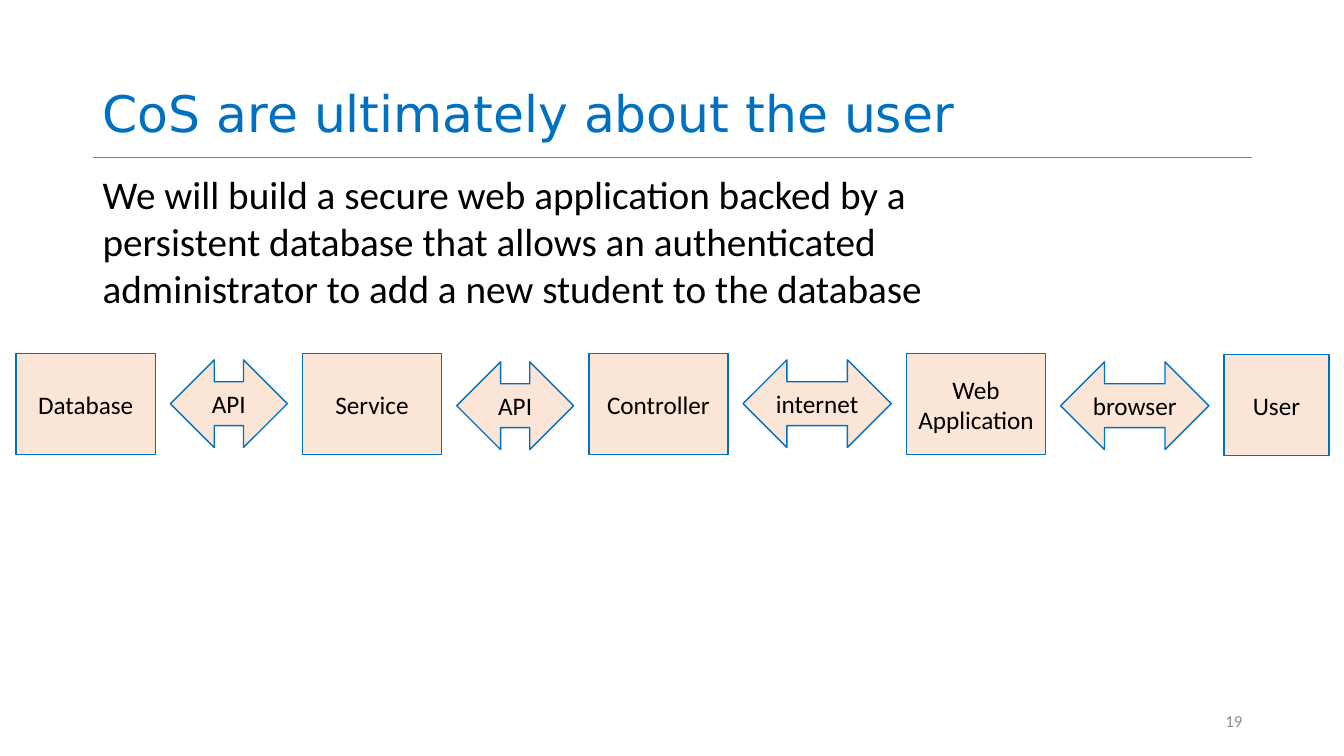
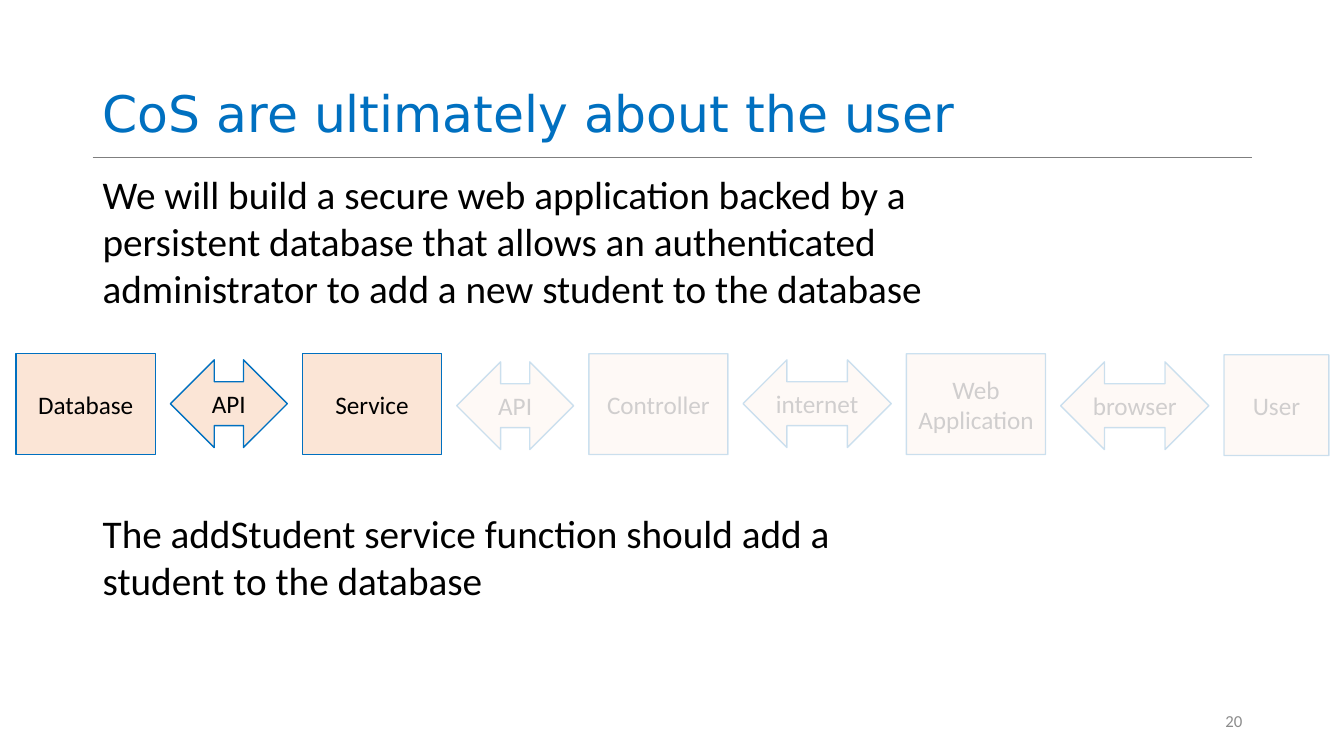
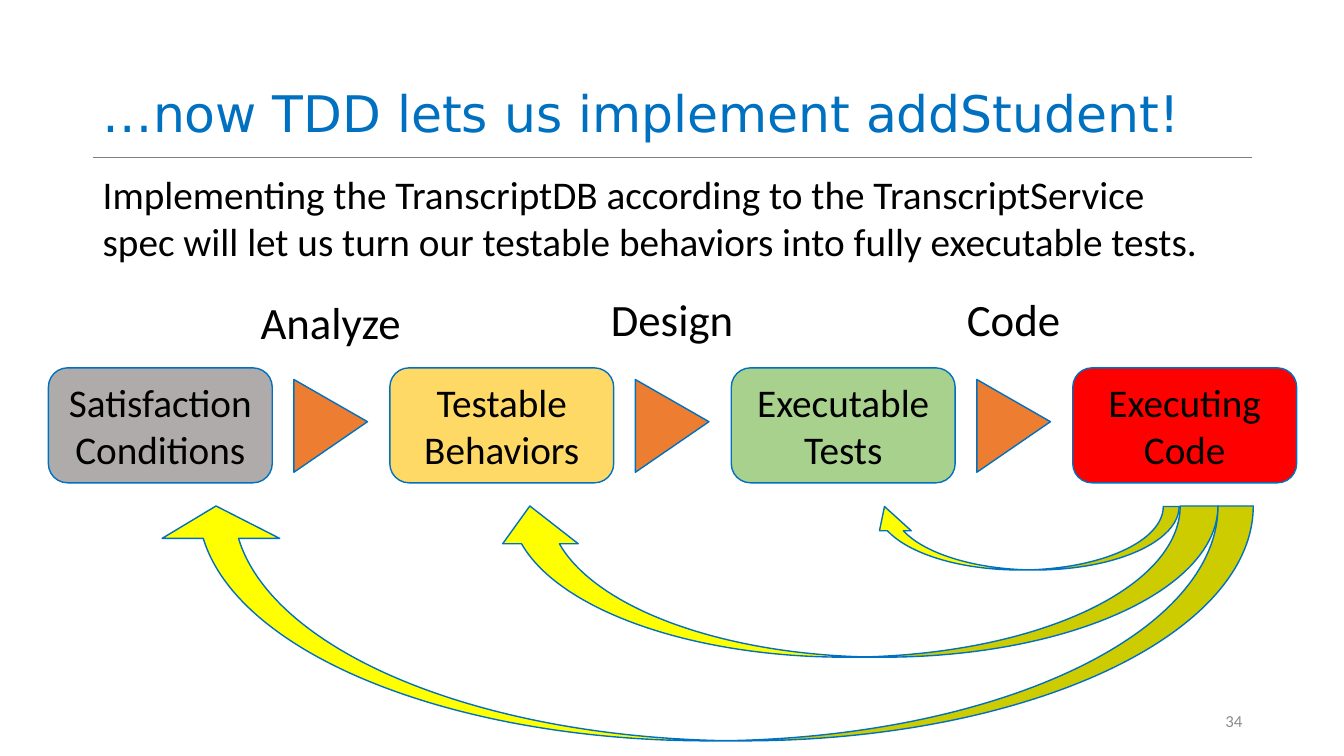
"""Build three slides on conditions of satisfaction and test-driven development."""
from lxml.etree import SubElement
from pptx import Presentation
from pptx.dml.color import RGBColor
from pptx.enum.shapes import MSO_CONNECTOR, MSO_SHAPE as SHAPE
from pptx.enum.text import MSO_ANCHOR as ANCHOR, PP_ALIGN as ALIGN
from pptx.oxml.ns import qn
from pptx.util import Inches, Pt

COLORS = {
    "blue": "0070C0", "rule": "7F7F7F", "black": "000000", "number": "8C8C8C",
    "peach": "FBE5D6", "faded": "D0CECE", "gray": "AFABAB", "gold": "FFD966",
    "green": "A9D18E", "red": "FF0000", "orange": "ED7D31", "yellow": "FFFF00",
}


def rgb(name):
    return RGBColor.from_string(COLORS[name])


def write(sp, text, size=28, color="black", font="Calibri", align=ALIGN.LEFT,
          anchor=ANCHOR.TOP, spacing=1.0, inset=0.1):
    tf = sp.text_frame
    tf.word_wrap = True
    tf.vertical_anchor = anchor
    tf.margin_left = tf.margin_right = Inches(inset)
    p = tf.paragraphs[0]
    p.alignment = align
    p.line_spacing = spacing
    r = p.add_run()
    r.text = text
    r.font.size = Pt(size)
    r.font.name = font
    r.font.color.rgb = rgb(color)


def paint(sp, fill, alpha=None):
    sp.shadow.inherit = False
    sp.fill.solid()
    sp.fill.fore_color.rgb = rgb(fill)
    sp.line.color.rgb = rgb("blue")
    sp.line.width = Pt(1)
    if alpha:
        for clr in sp._element.spPr.iter(qn("a:srgbClr")):
            SubElement(clr, qn("a:alpha")).set("val", str(alpha * 1000))


prs = Presentation()
prs.slide_width, prs.slide_height = Inches(13.33), Inches(7.5)

USER_TITLE = "CoS are ultimately about the user"
USER_STORY = ("We will build a secure web application backed by a persistent database "
              "that allows an authenticated administrator to add a new student to the database")
TDD_STORY = ("Implementing the TranscriptDB according to the TranscriptService spec "
             "will let us turn our testable behaviors into fully executable tests.")
pages = [
    (USER_TITLE, USER_STORY, 8.62, "19"),
    (USER_TITLE, USER_STORY, 8.62, "20"),
    ("…now TDD lets us implement addStudent!", TDD_STORY, 11.29, "34"),
]
slides = []
for title, story, width, number in pages:
    s = prs.slides.add_slide(prs.slide_layouts[6])
    slides.append(s)
    rule = s.shapes.add_connector(MSO_CONNECTOR.STRAIGHT, Inches(0.92), Inches(1.56),
                                  Inches(12.42), Inches(1.56))
    rule.line.color.rgb = rgb("rule")
    rule.line.width = Pt(0.5)
    SubElement(rule._element.spPr, qn("a:effectLst"))
    sp = s.shapes.add_textbox(Inches(0.92), Inches(0.02), Inches(11.5), Inches(1.45))
    write(sp, title, size=36, color="blue", font="DejaVu Sans", anchor=ANCHOR.BOTTOM,
          spacing=0.9)
    sp = s.shapes.add_textbox(Inches(0.92), Inches(1.64), Inches(width), Inches(1.6))
    write(sp, story)
    sp = s.shapes.add_textbox(Inches(9.42), Inches(6.95), Inches(3), Inches(0.4))
    write(sp, number, size=12, color="number", align=ALIGN.RIGHT, anchor=ANCHOR.MIDDLE)

BOX, ARROW = (SHAPE.RECTANGLE, 1), (SHAPE.LEFT_RIGHT_ARROW, 0.87)
chain = [
    ("Database", BOX, 3.51, 1.38), ("API", ARROW, 3.57, 1.16),
    ("Service", BOX, 3.51, 1.38), ("API", ARROW, 3.59, 1.16),
    ("Controller", BOX, 3.51, 1.38), ("internet", ARROW, 3.57, 1.47),
    ("Web Application", BOX, 3.51, 1.38), ("browser", ARROW, 3.59, 1.47),
    ("User", BOX, 3.52, 1.04),
]
for s, active in zip(slides, (len(chain), 3)):
    left = 0.16
    for i, (label, (kind, height), top, width) in enumerate(chain):
        sp = s.shapes.add_shape(kind, Inches(left), Inches(top), Inches(width), Inches(height))
        paint(sp, "peach", alpha=None if i < active else 20)
        write(sp, label, size=18, color="black" if i < active else "faded",
              align=ALIGN.CENTER, anchor=ANCHOR.MIDDLE, inset=0.05)
        left += width + 0.15

sp = slides[1].shapes.add_textbox(Inches(0.92), Inches(5), Inches(8.62), Inches(1.1))
write(sp, "The addStudent service function should add a student to the database")

s = slides[2]
pitch = (10.64 - 0.48) / 3
stages = [("Satisfaction Conditions", "gray"), ("Testable Behaviors", "gold"),
          ("Executable Tests", "green"), ("Executing Code", "red")]
for i, (label, fill) in enumerate(stages):
    sp = s.shapes.add_shape(SHAPE.ROUNDED_RECTANGLE, Inches(0.48 + i * pitch), Inches(3.65),
                            Inches(2.22), Inches(1.14))
    paint(sp, fill)
    write(sp, label, align=ALIGN.CENTER, anchor=ANCHOR.MIDDLE)

for i, (label, top) in enumerate([("Analyze", 2.89), ("Design", 2.86), ("Code", 2.86)]):
    sp = s.shapes.add_shape(SHAPE.ISOSCELES_TRIANGLE, Inches(2.82 + i * pitch), Inches(3.86),
                            Inches(0.92), Inches(0.73))
    sp.rotation = 90
    sp.adjustments[0] = 0.455
    paint(sp, "orange")
    sp = s.shapes.add_textbox(Inches(2.08 + i * pitch), Inches(top), Inches(2.4), Inches(0.6))
    write(sp, label, size=32, align=ALIGN.CENTER, anchor=ANCHOR.MIDDLE)

feedback = [
    (9.84, 3.8, 0.63, 3.08, (0.25, 0.5, 0.382)),
    (7.73, 2.17, 1.5, 7.2, (0.25, 0.5, 0.25)),
    (5.83, 0.75, 2.33, 10.87, (0.15, 0.5, 0.138)),
]
for left, top, width, height, bends in feedback:
    sp = s.shapes.add_shape(SHAPE.CURVED_LEFT_ARROW, Inches(left), Inches(top),
                            Inches(width), Inches(height))
    sp.rotation = 90
    for i, bend in enumerate(bends):
        sp.adjustments[i] = bend
    paint(sp, "yellow")

prs.save("out.pptx")
